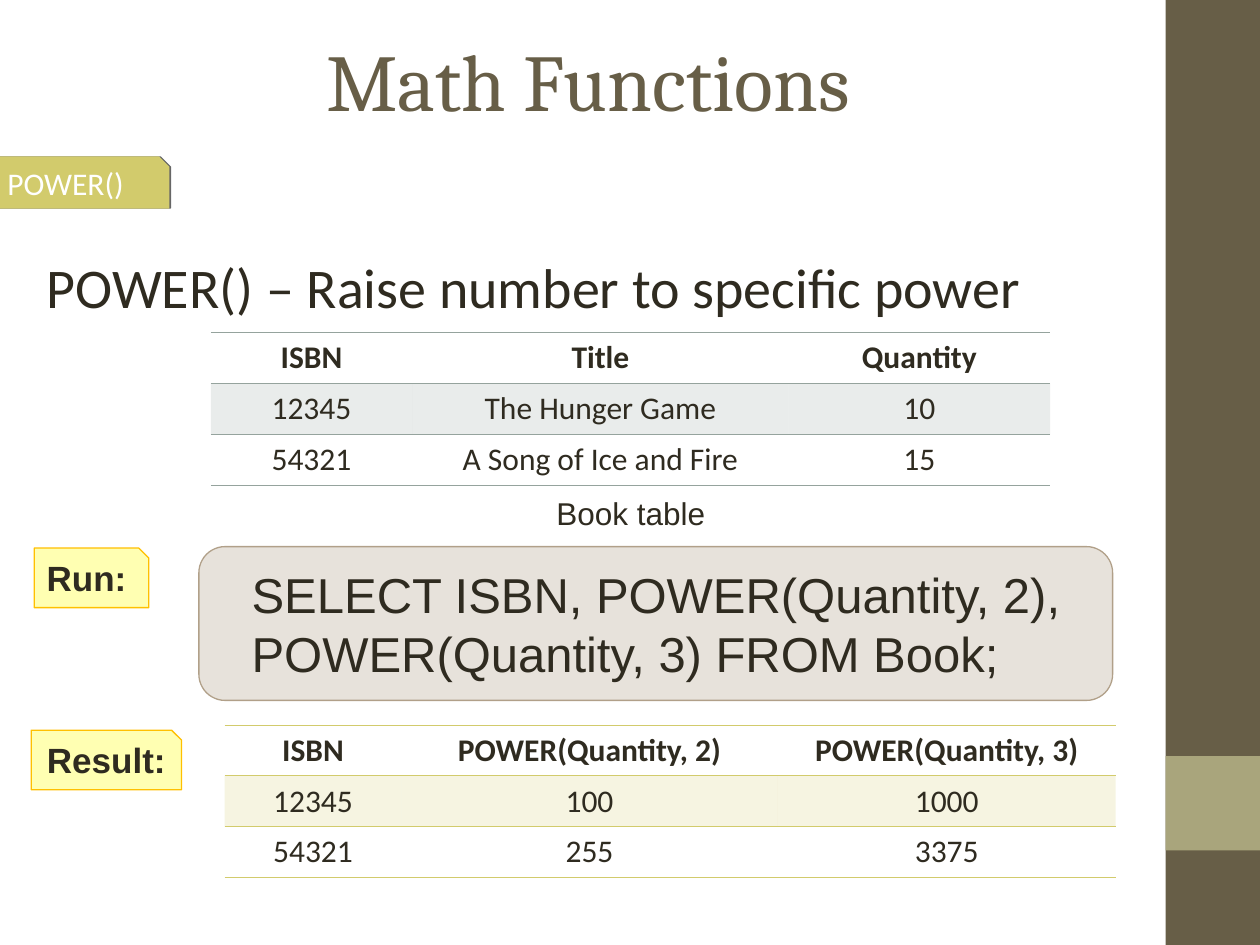
from dataclasses import dataclass

from lxml.etree import SubElement
from pptx import Presentation
from pptx.dml.color import RGBColor
from pptx.enum.shapes import MSO_SHAPE
from pptx.enum.text import MSO_ANCHOR, PP_ALIGN
from pptx.oxml.ns import qn
from pptx.util import Cm, Pt


@dataclass(frozen=True)
class Theme:
    ink: str = "2F2B20"
    brown: str = "675E47"
    sage: str = "A9A57C"
    olive: str = "D2CB6C"
    slate: str = "95A39D"
    tan: str = "B1A089"
    yellow: str = "FFFF00"
    amber: str = "FFC000"
    white: str = "FFFFFF"
    black: str = "000000"
    heading: str = "Cambria"
    body: str = "Calibri"
    plain: str = "Arial"
    title_size: int = 46
    lead_size: int = 32
    code_size: int = 28
    label_size: int = 20
    small_size: int = 18


THEME = Theme()
NO_STYLE = "{2D5ABB26-0587-4C30-8999-92F81FD0307C}"


def lengths(*values):
    return [Cm(v) for v in values]


def write(tf, text, size=THEME.small_size, font=THEME.body, color=THEME.ink,
          bold=False, align=PP_ALIGN.LEFT, anchor=MSO_ANCHOR.TOP):
    tf.word_wrap = True
    tf.vertical_anchor = anchor
    p = tf.paragraphs[0]
    p.alignment = align
    r = p.add_run()
    r.text = text
    r.font.size = Pt(size)
    r.font.name = font
    r.font.bold = bold
    r.font.color.rgb = RGBColor.from_string(color)


def add_text(slide, box, text, **fmt):
    tb = slide.shapes.add_textbox(*lengths(*box))
    write(tb.text_frame, text, **fmt)


def add_color(parent, color, opacity=100):
    clr = SubElement(parent, qn("a:srgbClr"), val=color)
    if opacity < 100:
        SubElement(clr, qn("a:alpha"), val=str(opacity * 1000))


def paint(fill, props, color, opacity=100):
    """Give a shape or cell a solid fill; props is the element that holds it."""
    fill.solid()
    fill.fore_color.rgb = RGBColor.from_string(color)
    if opacity < 100:
        clr = props.find(f"{qn('a:solidFill')}/{qn('a:srgbClr')}")
        SubElement(clr, qn("a:alpha"), val=str(opacity * 1000))


def style_shape(sp, color, opacity=100, line=None, width=0.75):
    sp.shadow.inherit = False
    paint(sp.fill, sp.element.spPr, color, opacity)
    if line:
        sp.line.color.rgb = RGBColor.from_string(line)
        sp.line.width = Pt(width)
    else:
        sp.line.fill.background()


def add_tag(slide, box, text, fill, line, opacity=100, width=0.75, snip=0.2, **fmt):
    """Label with its top right corner cut off."""
    x, y, w, h = box
    corners = [(x + w - snip, y), (x + w, y + snip), (x + w, y + h), (x, y + h)]
    builder = slide.shapes.build_freeform(Cm(x), Cm(y))
    builder.add_line_segments([lengths(*c) for c in corners], close=True)
    sp = builder.convert_to_shape()
    style_shape(sp, fill, opacity, line, width)
    write(sp.text_frame, text, anchor=MSO_ANCHOR.MIDDLE, **fmt)
    return sp


def add_sidebar(slide, box):
    x, y, w, h = box
    for top, height, color in [(y, h, THEME.brown), (y + 0.8 * h, 0.1 * h, THEME.sage)]:
        sp = slide.shapes.add_shape(MSO_SHAPE.RECTANGLE, *lengths(x, top, w, height))
        style_shape(sp, color)


def add_section_tab(slide, box, text):
    sp = add_tag(slide, box, text, THEME.olive, THEME.olive, width=1, color=THEME.white)
    effects = sp.element.spPr.find(qn("a:effectLst"))
    shadow = SubElement(effects, qn("a:outerShdw"), blurRad="0", dist=str(Pt(1)),
                        dir="0", algn="tl", rotWithShape="0")
    add_color(shadow, THEME.black, 60)


def add_step_label(slide, box, text, align=PP_ALIGN.LEFT):
    add_tag(slide, box, text, THEME.yellow, THEME.amber, opacity=30, align=align,
            size=THEME.label_size, font=THEME.plain, bold=True)


def add_code_panel(slide, box, text):
    sp = slide.shapes.add_shape(MSO_SHAPE.ROUNDED_RECTANGLE, *lengths(*box))
    sp.adjustments[0] = 0.17
    style_shape(sp, THEME.tan, 30, THEME.tan)
    sp.text_frame.margin_left = Cm(0.91)
    write(sp.text_frame, text, size=THEME.code_size, font=THEME.plain,
          anchor=MSO_ANCHOR.MIDDLE)


def add_rule(cell, side, color):
    ln = SubElement(cell._tc.get_or_add_tcPr(), qn(f"a:{side}"), w=str(Pt(0.45)))
    add_color(SubElement(ln, qn("a:solidFill")), color)


def add_ruled_table(slide, left, top, widths, row_height, rows, accent):
    """Table ruled above and below its header and at its foot, first data row tinted."""
    box = lengths(left, top, sum(widths), row_height * len(rows))
    table = slide.shapes.add_table(len(rows), len(widths), *box).table
    table.first_row = table.horz_banding = False
    table._tbl.tblPr.find(qn("a:tableStyleId")).text = NO_STYLE
    for column, width in zip(table.columns, widths):
        column.width = Cm(width)
    last = len(rows) - 1
    for i, row in enumerate(rows):
        table.rows[i].height = Cm(row_height)
        for j, text in enumerate(row):
            cell = table.cell(i, j)
            if i <= 1:
                add_rule(cell, "lnT", accent)
            if i in (0, last):
                add_rule(cell, "lnB", accent)
            if i == 1:
                paint(cell.fill, cell._tc.tcPr, accent, 20)
            else:
                cell.fill.background()
            write(cell.text_frame, text, bold=i == 0, align=PP_ALIGN.CENTER)


def build_function_slide(prs):
    s = prs.slides.add_slide(prs.slide_layouts[6])
    add_sidebar(s, (23.5, 0, 1.9, 19.05))
    add_text(s, (1.27, 0, 21.16, 3.18), "Math Functions", size=THEME.title_size,
             font=THEME.heading, color=THEME.brown, align=PP_ALIGN.CENTER,
             anchor=MSO_ANCHOR.MIDDLE)
    add_section_tab(s, (-0.1, 3.17, 3.5, 1.02), "POWER()")
    add_text(s, (0.69, 4.97, 24.31, 3), "POWER() – Raise number to specific power",
             size=THEME.lead_size)
    add_code_panel(s, (4.01, 11.02, 18.42, 3.1),
                   "SELECT ISBN, POWER(Quantity, 2), POWER(Quantity, 3) FROM Book;")
    add_ruled_table(s, 4.53, 14.62, (3.56, 7.59, 6.81), 1.02, [
        ("ISBN", "POWER(Quantity, 2)", "POWER(Quantity, 3)"),
        ("12345", "100", "1000"),
        ("54321", "255", "3375"),
    ], THEME.olive)
    add_ruled_table(s, 4.25, 6.7, (4.06, 7.59, 5.27), 1.03, [
        ("ISBN", "Title", "Quantity"),
        ("12345", "The Hunger Game", "10"),
        ("54321", "A Song of Ice and Fire", "15"),
    ], THEME.slate)
    add_text(s, (9.91, 9.83, 5.61, 1.02), "Book table", font=THEME.plain,
             align=PP_ALIGN.CENTER)
    add_step_label(s, (0.63, 14.72, 3.03, 1.2), "Result:", align=PP_ALIGN.CENTER)
    add_step_label(s, (0.69, 11.05, 2.31, 1.2), "Run:")


def main():
    prs = Presentation()
    prs.slide_width, prs.slide_height = Cm(25.4), Cm(19.05)
    build_function_slide(prs)
    prs.save("out.pptx")


if __name__ == "__main__":
    main()
